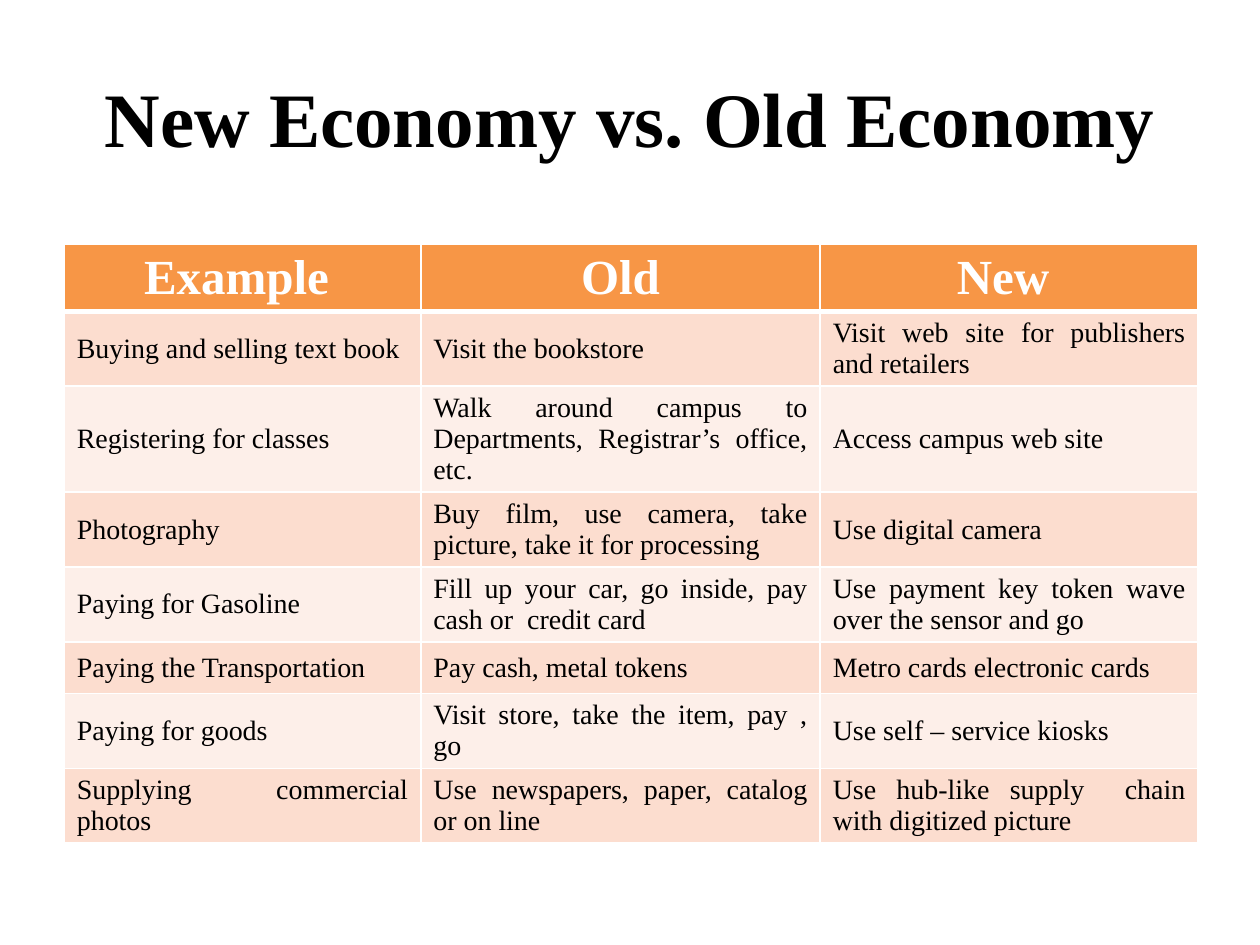
import pptx
import pptx.util
import pptx.dml.color
import pptx.enum.text
import pptx.oxml.ns
from lxml import etree

Inches = pptx.util.Inches
Pt = pptx.util.Pt
Align = pptx.enum.text.PP_ALIGN
Anchor = pptx.enum.text.MSO_ANCHOR
FONT = "Times New Roman"
HEADS = ["Example ", "Old", "New "]
ROWS = [
    ["Buying and selling text book ", "Visit the bookstore",
     "Visit web site for publishers and retailers "],
    ["Registering for classes",
     "Walk around campus to Departments, Registrar’s office, etc. ",
     "Access campus web site"],
    ["Photography ",
     "Buy film, use camera, take picture, take it for processing ",
     "Use digital camera"],
    ["Paying for Gasoline",
     "Fill up your car, go inside, pay cash or  credit card ",
     "Use payment key token wave over the sensor and go "],
    ["Paying the Transportation ", "Pay cash, metal tokens ",
     "Metro cards electronic cards"],
    ["Paying for goods", "Visit store, take the item, pay , go",
     "Use self – service kiosks"],
    ["Supplying commercial photos ",
     "Use newspapers, paper, catalog or on line ",
     "Use hub-like supply  chain with digitized picture "],
]


def color(code):
    return pptx.dml.color.RGBColor.from_string(code)


def add(parent, tag, **attrs):
    return etree.SubElement(parent, pptx.oxml.ns.qn(tag), **attrs)


def style(para, size, code, bold, align):
    para.alignment = align
    for run in para.runs:
        run.font.name = FONT
        run.font.size = Pt(size)
        run.font.bold = bold
        run.font.color.rgb = color(code)


def border(cell, base):
    props = cell._tc.get_or_add_tcPr()
    for side, width in zip("LRTB", (1, 1, 1, base)):
        line = add(props, "a:ln" + side, w=str(Pt(width)))
        add(add(line, "a:solidFill"), "a:srgbClr", val="FFFFFF")


def put_cell(cell, text, head, fill):
    cell.text_frame.text = text
    cell.vertical_anchor = Anchor.MIDDLE
    para = cell.text_frame.paragraphs[0]
    if head:
        style(para, 28, "FFFFFF", True, Align.CENTER)
    else:
        style(para, 16, "000000", False, Align.JUSTIFY)
    space = add(para._p.get_or_add_pPr(), "a:spcBef")
    add(space, "a:spcPct", val="20000")
    border(cell, 3 if head else 1)
    cell.fill.solid()
    cell.fill.fore_color.rgb = color(fill)


def put_title(slide, text, left, top, width, height):
    title = slide.shapes.title
    title.left, title.top = Inches(left), Inches(top)
    title.width, title.height = Inches(width), Inches(height)
    frame = title.text_frame
    frame.text = text
    frame.vertical_anchor = Anchor.MIDDLE
    style(frame.paragraphs[0], 44, "000000", True, Align.CENTER)


def put_table(slide, left, top, width, height):
    data = [HEADS] + ROWS
    table = slide.shapes.add_table(
        len(data), len(HEADS), Inches(left), Inches(top),
        Inches(width), Inches(height)).table
    for col, part in zip(table.columns, (2.83, 3.17, 3)):
        col.width = Inches(width * part / 9)
    for i, texts in enumerate(data):
        table.rows[i].height = Inches(0.41)
        fill = "F79646" if i == 0 else ("FDEFE9", "FCDDCF")[i % 2]
        for j, text in enumerate(texts):
            put_cell(table.cell(i, j), text, i == 0, fill)


deck = pptx.Presentation()
deck.slide_width, deck.slide_height = Inches(10), Inches(7.5)
slide = deck.slides.add_slide(deck.slide_layouts[5])
put_title(slide, "New Economy vs. Old Economy", 0.5, 0.3, 9, 1.25)
put_table(slide, 0.51, 1.94, 9, 5.04)
deck.save("out.pptx")
